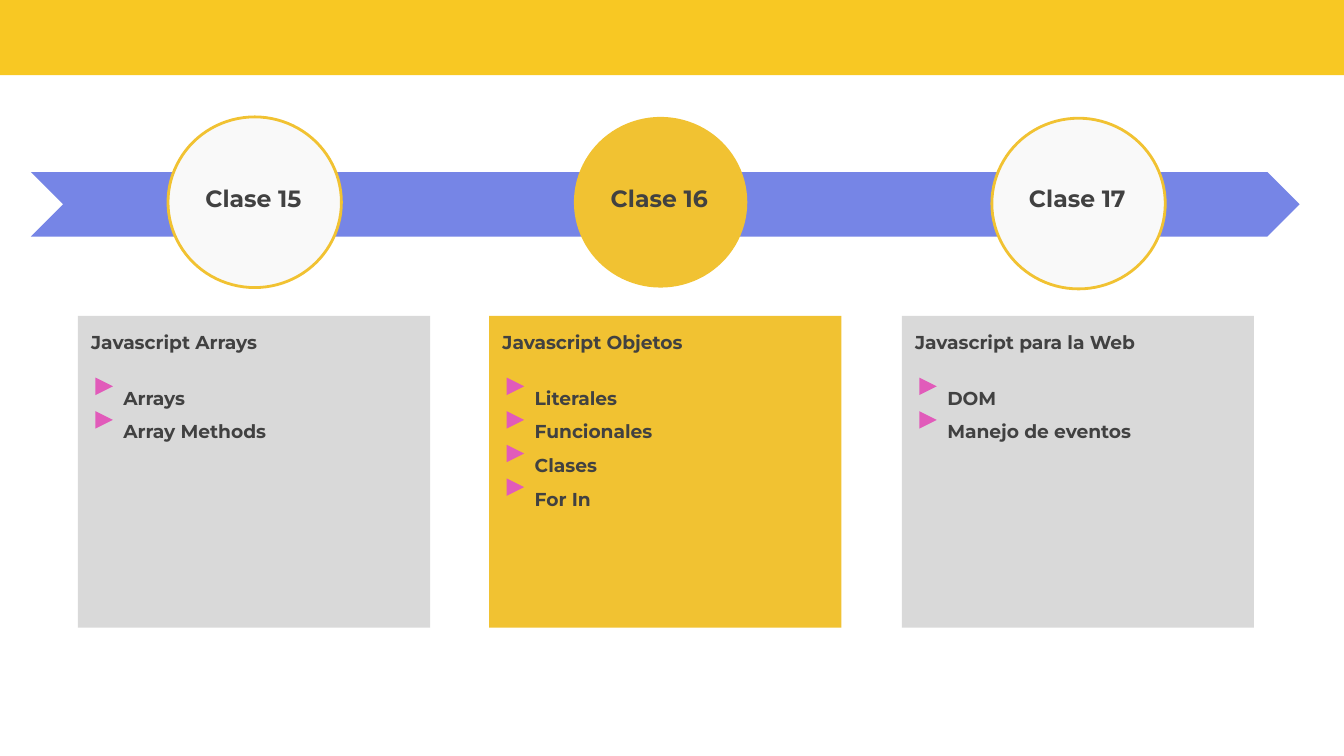
import pptx
import pptx.dml.color
import pptx.enum.shapes
import pptx.enum.text
import pptx.util
from dataclasses import dataclass

Inches = pptx.util.Inches
Kind = pptx.enum.shapes.MSO_SHAPE


@dataclass(frozen=True)
class Theme:
    font: str = "Montserrat"
    ink: str = "414141"
    band: str = "F8C823"
    gold: str = "F1C232"
    pale: str = "F9F9F9"
    grey: str = "D9D9D9"
    blue: str = "7685E6"
    pink: str = "E15BBA"
    label: float = 12.6
    body: float = 10


theme = Theme()

# Label, circle left and top, panel left, heading, topics, current class
CLASSES = [
    ("Clase 15", 1.25, 0.87, 0.58, "Javascript Arrays",
     ["Arrays", "Array Methods"], False),
    ("Clase 16", 4.27, 0.87, 3.64, "Javascript Objetos",
     ["Literales", "Funcionales", "Clases", "For In"], True),
    ("Clase 17", 7.38, 0.88, 6.71, "Javascript para la Web",
     ["DOM", "Manejo de eventos"], False),
]


def color(code):
    return pptx.dml.color.RGBColor.from_string(code)


def add_form(slide, kind, left, top, width, height, fill, line=None):
    form = slide.shapes.add_shape(
        kind, Inches(left), Inches(top), Inches(width), Inches(height))
    form.shadow.inherit = False
    form.fill.solid()
    form.fill.fore_color.rgb = color(fill)
    if line:
        form.line.color.rgb = color(line)
        form.line.width = pptx.util.Pt(1.5)
    else:
        form.line.fill.background()
    return form


def add_frame(slide, left, top, width, height):
    box = slide.shapes.add_textbox(
        Inches(left), Inches(top), Inches(width), Inches(height))
    frame = box.text_frame
    frame.word_wrap = True
    frame.vertical_anchor = pptx.enum.text.MSO_ANCHOR.TOP
    frame.margin_left = frame.margin_right = Inches(0.1)
    frame.margin_top = frame.margin_bottom = Inches(0.1)
    return frame


def add_run(para, text, size):
    run = para.add_run()
    run.text = text
    run.font.name = theme.font
    run.font.size = pptx.util.Pt(size)
    run.font.bold = True
    run.font.color.rgb = color(theme.ink)


def add_circle(slide, label, left, top, current):
    fill, line = (theme.gold, None) if current else (theme.pale, theme.gold)
    add_form(slide, Kind.OVAL, left, top, 1.29, 1.27, fill, line)
    para = add_frame(slide, left + 0.04, 1.27, 1.19, 0.33).paragraphs[0]
    para.alignment = pptx.enum.text.PP_ALIGN.CENTER
    add_run(para, label, theme.label)


def add_panel(slide, left, title, topics, current):
    fill = theme.gold if current else theme.grey
    add_form(slide, Kind.RECTANGLE, left, 2.35, 2.62, 2.32, fill)
    frame = add_frame(slide, left, 2.36, 2.62, 2.32)
    add_run(frame.paragraphs[0], title, theme.body)
    for row, topic in enumerate(topics):
        para = frame.add_paragraph()
        para.line_spacing = 1.5
        para.space_before = pptx.util.Pt(0 if row else 12)
        # Indent the topic to clear its marker
        props = para._p.get_or_add_pPr()
        props.set("marL", str(Inches(0.24)))
        props.set("indent", "0")
        add_run(para, topic, theme.body)
        mark = add_form(slide, Kind.ISOSCELES_TRIANGLE, left + 0.13,
                        2.81 + 0.25 * row, 0.13, 0.13, theme.pink)
        mark.rotation = 90


def main():
    deck = pptx.Presentation()
    # Widescreen, 16:9
    deck.slide_width = Inches(10)
    deck.slide_height = Inches(10) * 9 // 16
    slide = deck.slides.add_slide(deck.slide_layouts[6])

    # Top band and timeline arrow
    add_form(slide, Kind.RECTANGLE, -0.01, -0.05, 10.03, 0.61, theme.band)
    add_form(slide, Kind.CHEVRON, 0.23, 1.28, 9.44, 0.48, theme.blue)

    # One circle and one panel per class
    for label, x, y, left, title, topics, current in CLASSES:
        add_circle(slide, label, x, y, current)
        add_panel(slide, left, title, topics, current)

    deck.save("out.pptx")


if __name__ == "__main__":
    main()
